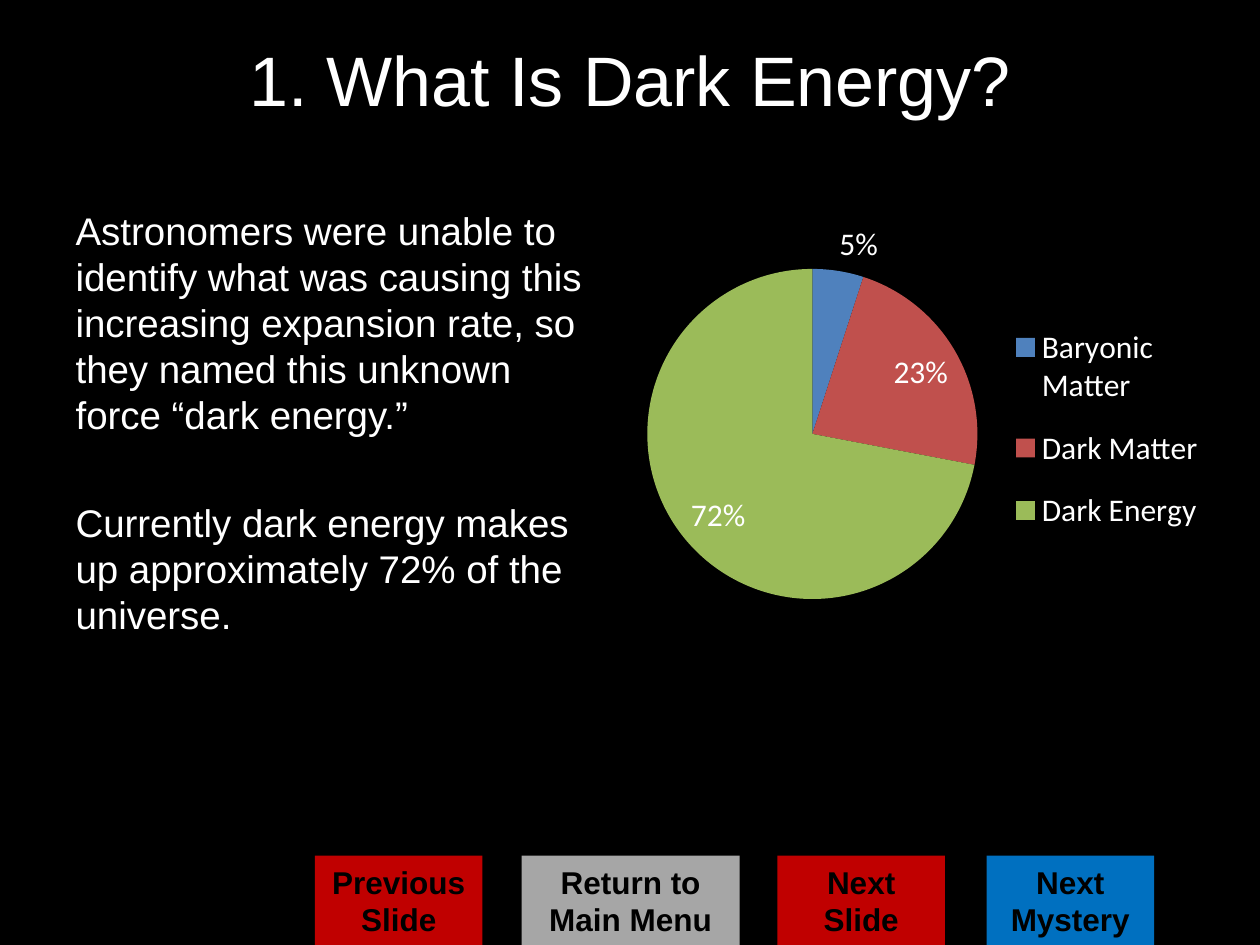
from lxml.etree import SubElement
from pptx import Presentation
from pptx.chart.data import CategoryChartData
from pptx.dml.color import RGBColor
from pptx.enum.chart import XL_CHART_TYPE, XL_LABEL_POSITION as LabelPosition
from pptx.enum.chart import XL_LEGEND_POSITION as LegendPosition
from pptx.enum.shapes import MSO_SHAPE
from pptx.enum.text import MSO_ANCHOR, MSO_AUTO_SIZE, PP_ALIGN
from pptx.oxml import parse_xml
from pptx.oxml.ns import nsdecls, qn
from pptx.util import Inches, Pt

BLACK = RGBColor(0x00, 0x00, 0x00)
WHITE = RGBColor(0xFF, 0xFF, 0xFF)
GRAY = RGBColor(0xA6, 0xA6, 0xA6)
RED = RGBColor(0xC0, 0x00, 0x00)
BLUE = RGBColor(0x00, 0x70, 0xC0)

TITLE_FONT = {"name": "Arial", "size": Pt(40)}
BODY_FONT = {"name": "Arial", "size": Pt(22)}
BUTTON_FONT = {"name": "Arial", "size": Pt(18), "bold": True}
CHART_FONT = {"name": "Calibri", "size": Pt(18)}

BUTTON_TOP, BUTTON_HEIGHT = 6.79, 0.71
BUTTONS = [  # text, left, width, fill
    ("Return to Main Menu", 4.14, 1.73, GRAY),
    ("Previous Slide", 2.5, 1.33, RED),
    ("Next Slide", 6.17, 1.33, RED),
    ("Next Mystery", 7.83, 1.33, BLUE),
]
BODY = [  # text, space before in points
    ("Astronomers were unable to identify what was causing this increasing "
     "expansion rate, so they named this unknown force “dark energy.”", 4.4),
    ("Currently dark energy makes up approximately 72% of the universe.", 35),
]
UNIVERSE = [  # category, percent, colour
    ("Baryonic Matter", 5, RGBColor(0x4F, 0x81, 0xBD)),
    ("Dark Matter", 23, RGBColor(0xC0, 0x50, 0x4D)),
    ("Dark Energy", 72, RGBColor(0x9B, 0xBB, 0x59)),
]


def format_font(font, values, color):
    for name, value in values.items():
        setattr(font, name, value)
    font.color.rgb = color


def place(shape, left, top, width, height):
    box = {"left": left, "top": top, "width": width, "height": height}
    for name, value in box.items():
        setattr(shape, name, Inches(value))


def fill_title(title):
    place(title, 0.5, 0, 9, 1.25)
    frame = title.text_frame
    frame.text = "1. What Is Dark Energy?"
    frame.vertical_anchor = MSO_ANCHOR.MIDDLE
    paragraph = frame.paragraphs[0]
    paragraph.alignment = PP_ALIGN.CENTER
    format_font(paragraph.runs[0].font, TITLE_FONT, WHITE)


def fill_body(body):
    place(body, 0.5, 1.59, 4.42, 4.32)
    frame = body.text_frame
    frame.text = "\n".join(text for text, _ in BODY)
    for paragraph, (_, space) in zip(frame.paragraphs, BODY):
        paragraph.space_before = Pt(space)
        properties = paragraph._p.get_or_add_pPr()
        properties.set("marL", "0")
        properties.set("indent", "0")
        SubElement(properties, qn("a:buNone"))
        format_font(paragraph.runs[0].font, BODY_FONT, WHITE)


def add_button(slide, text, left, width, color):
    button = slide.shapes.add_shape(
        MSO_SHAPE.RECTANGLE, Inches(left), Inches(BUTTON_TOP),
        Inches(width), Inches(BUTTON_HEIGHT))
    button.shadow.inherit = False
    button.fill.solid()
    button.fill.fore_color.rgb = color
    button.line.fill.background()
    frame = button.text_frame
    frame.word_wrap = True
    frame.auto_size = MSO_AUTO_SIZE.SHAPE_TO_FIT_TEXT
    frame.text = text
    paragraph = frame.paragraphs[0]
    paragraph.alignment = PP_ALIGN.CENTER
    format_font(paragraph.runs[0].font, BUTTON_FONT, BLACK)


def set_layout(parent, index, x, y, w, h, inner=False):
    """Fix a chart part's box, given as fractions of the chart area."""
    for old in parent.findall(qn("c:layout")):
        parent.remove(old)
    target = '<c:layoutTarget val="inner"/>' if inner else ""
    modes = '<c:xMode val="edge"/><c:yMode val="edge"/>'
    sizes = "".join(f'<c:{name} val="{value}"/>' for name, value in
                    (("x", x), ("y", y), ("w", w), ("h", h)))
    parent.insert(index, parse_xml(
        f'<c:layout {nsdecls("c")}><c:manualLayout>{target}{modes}{sizes}'
        '</c:manualLayout></c:layout>'))


def add_pie(slide):
    data = CategoryChartData(number_format='0"%"')
    data.categories = [category for category, _, _ in UNIVERSE]
    data.add_series("Series 1", [percent for _, percent, _ in UNIVERSE])
    chart = slide.shapes.add_chart(
        XL_CHART_TYPE.PIE, Inches(4.75), Inches(1.42),
        Inches(4.92), Inches(3.97), data).chart
    chart.has_title = False
    format_font(chart.font, CHART_FONT, WHITE)

    chart.has_legend = True
    legend = chart.legend
    legend.position = LegendPosition.RIGHT
    legend.include_in_layout = False
    set_layout(legend._element, 1, 0.65, 0.25, 0.34, 0.5)

    plot = chart.plots[0]
    plot.vary_by_categories = True
    set_layout(plot._element.getparent(), 0, 0.05, 0.18, 0.59, 0.66, True)

    series = plot.series[0]
    labels = series.data_labels
    labels.show_value = True
    labels.position = LabelPosition.INSIDE_END
    series.points[0].data_label.position = LabelPosition.OUTSIDE_END
    for index, (_, _, color) in enumerate(UNIVERSE):
        slice_format = series.points[index].format
        slice_format.fill.solid()
        slice_format.fill.fore_color.rgb = color
        slice_format.line.fill.background()


def main():
    presentation = Presentation()
    presentation.slide_width = Inches(10)
    presentation.slide_height = Inches(7.5)
    slide = presentation.slides.add_slide(presentation.slide_layouts[1])
    slide.background.fill.solid()
    slide.background.fill.fore_color.rgb = BLACK
    fill_title(slide.shapes.title)
    fill_body(slide.placeholders[1])
    for button in BUTTONS:
        add_button(slide, *button)
    add_pie(slide)
    presentation.save("out.pptx")


if __name__ == "__main__":
    main()
